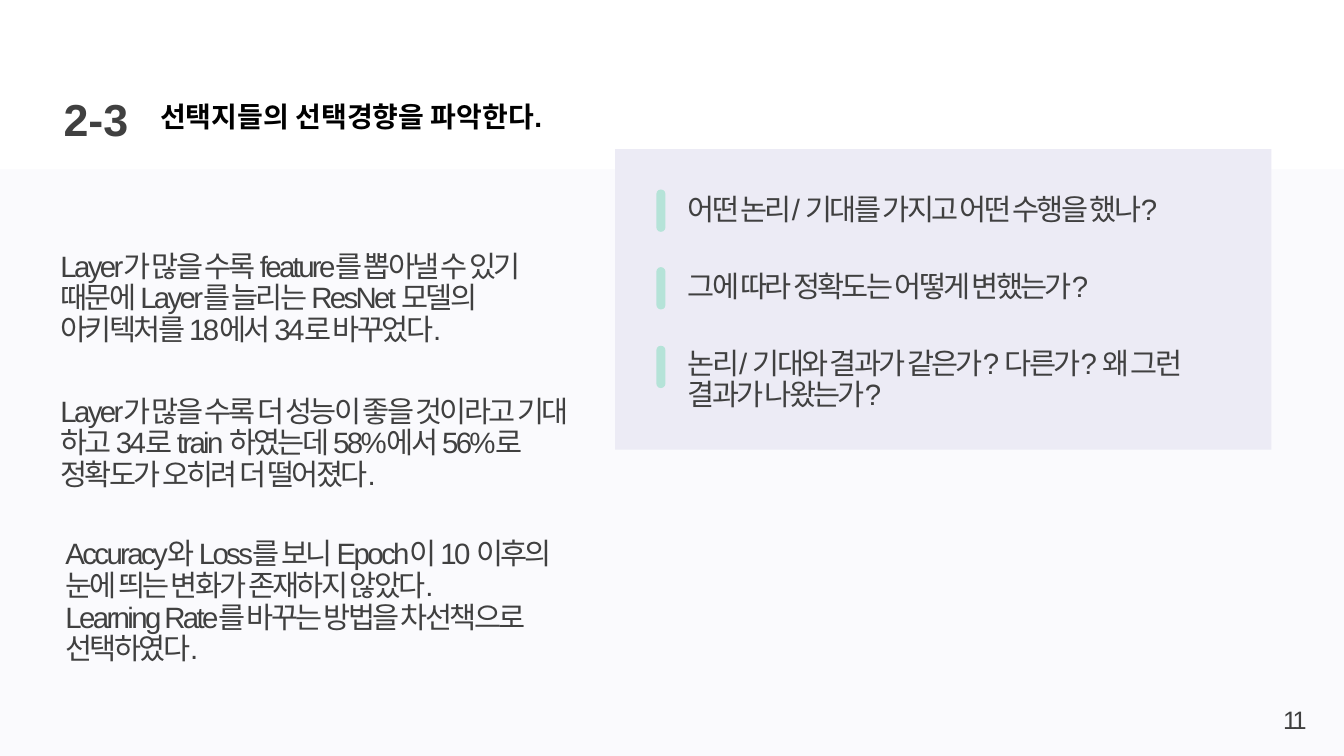
from dataclasses import dataclass

from pptx import Presentation
from pptx.dml.color import RGBColor
from pptx.enum import shapes, text
from pptx.util import Inches, Pt


@dataclass(frozen=True)
class Theme:
    font: str = "Arial"
    ink: str = "404040"
    heading: str = "000000"
    backdrop: str = "FAFAFD"
    panel: str = "ECEBF5"
    marker: str = "B5E3D8"
    number_size: int = 32
    heading_size: int = 20
    body_size: int = 21
    page_size: int = 18
    tracking: int = -190  # hundredths of a point


class SlideBuilder:
    def __init__(self, presentation, theme):
        self.theme = theme
        self.slide = presentation.slides.add_slide(presentation.slide_layouts[5])

    def style(self, paragraph, size, color, bold=False):
        font = paragraph.font
        font.name, font.size, font.bold = self.theme.font, Pt(size), bold
        font.color.rgb = RGBColor.from_string(color)

    def box(self, bounds, color, kind=shapes.MSO_SHAPE.RECTANGLE):
        shape = self.slide.shapes.add_shape(kind, *map(Inches, bounds))
        shape.shadow.inherit = False
        shape.fill.solid()
        shape.fill.fore_color.rgb = RGBColor.from_string(color)
        shape.line.fill.background()
        return shape

    def marker(self, bounds):
        shape = self.box(bounds, self.theme.marker, shapes.MSO_SHAPE.ROUNDED_RECTANGLE)
        shape.adjustments[0] = 0.5

    def title(self, bounds, wording):
        title = self.slide.shapes.title
        title.left, title.top, title.width, title.height = map(Inches, bounds)
        frame = title.text_frame
        frame.text = wording
        frame.auto_size = text.MSO_AUTO_SIZE.NONE
        frame.vertical_anchor = text.MSO_ANCHOR.MIDDLE
        paragraph = frame.paragraphs[0]
        paragraph.alignment = text.PP_ALIGN.LEFT
        paragraph.line_spacing = 0.9
        self.style(paragraph, self.theme.number_size, self.theme.ink, bold=True)

    def heading(self, bounds, wording):
        frame = self.slide.shapes.add_textbox(*map(Inches, bounds)).text_frame
        frame.word_wrap = True
        frame.text = wording
        self.style(frame.paragraphs[0], self.theme.heading_size, self.theme.heading, bold=True)

    def tight_text(self, bounds, wording, size, anchor=text.MSO_ANCHOR.MIDDLE,
                   alignment=text.PP_ALIGN.LEFT):
        """Add text with narrowed letter and line spacing."""
        frame = self.slide.shapes.add_textbox(*map(Inches, bounds)).text_frame
        frame.word_wrap = True
        frame.vertical_anchor = anchor
        frame.margin_left = frame.margin_right = Inches(0.12)
        frame.margin_top = frame.margin_bottom = Inches(0.06)
        frame.text = wording
        for paragraph in frame.paragraphs:
            paragraph.alignment = alignment
            paragraph.line_spacing = 0.9
            self.style(paragraph, size, self.theme.ink)
            for run in paragraph.runs:
                run._r.get_or_add_rPr().set("spc", str(self.theme.tracking))


QUESTIONS = [  # marker top, text top, wording
    (1.88, 1.76, "어떤 논리/ 기대를 가지고 어떤 수행을 했나?"),
    (2.65, 2.52, "그에 따라 정확도는 어떻게 변했는가?"),
    (3.43, 3.44, "논리/ 기대와 결과가 같은가? 다른가? 왜 그런 결과가 나왔는가?"),
]
ANSWERS = [  # left, top, wording
    (0.48, 2.19, "Layer가 많을 수록 feature를 뽑아낼 수 있기 때문에 Layer를 늘리는 "
                 "ResNet 모델의 아키텍처를 18에서 34로 바꾸었다."),
    (0.48, 3.63, "Layer가 많을 수록 더 성능이 좋을 것이라고 기대 하고 34로 train "
                 "하였는데 58%에서 56%로 정확도가 오히려 더 떨어졌다."),
    (0.53, 5.2, "Accuracy와 Loss를 보니 Epoch이 10 이후의 눈에 띄는 변화가 존재하지 "
                "않았다.\nLearning Rate를 바꾸는 방법을 차선책으로 선택하였다."),
]
ANSWER_RIGHT = 5.8


def main():
    presentation = Presentation()
    presentation.slide_width, presentation.slide_height = Inches(13.33), Inches(7.5)
    theme = Theme()
    builder = SlideBuilder(presentation, theme)

    builder.box((0, 1.68, 13.33, 5.82), theme.backdrop)
    builder.tight_text((11.33, 6.17, 1.75, 1.18), "11", theme.page_size,
                       text.MSO_ANCHOR.BOTTOM, text.PP_ALIGN.RIGHT)
    builder.title((0.53, 0.89, 0.96, 0.64), "2-3")
    builder.heading((1.49, 0.94, 10.46, 0.44), "선택지들의 선택경향을 파악한다.")

    builder.box((6.1, 1.48, 6.51, 2.98), theme.panel)
    for marker_top, text_top, question in QUESTIONS:
        builder.marker((6.51, marker_top, 0.09, 0.42))
        builder.tight_text((6.7, text_top, 5.62, 0.67), question, theme.body_size)
    for left, top, answer in ANSWERS:
        builder.tight_text((left, top, ANSWER_RIGHT - left, 1.56), answer, theme.body_size)

    presentation.save("out.pptx")


if __name__ == "__main__":
    main()
